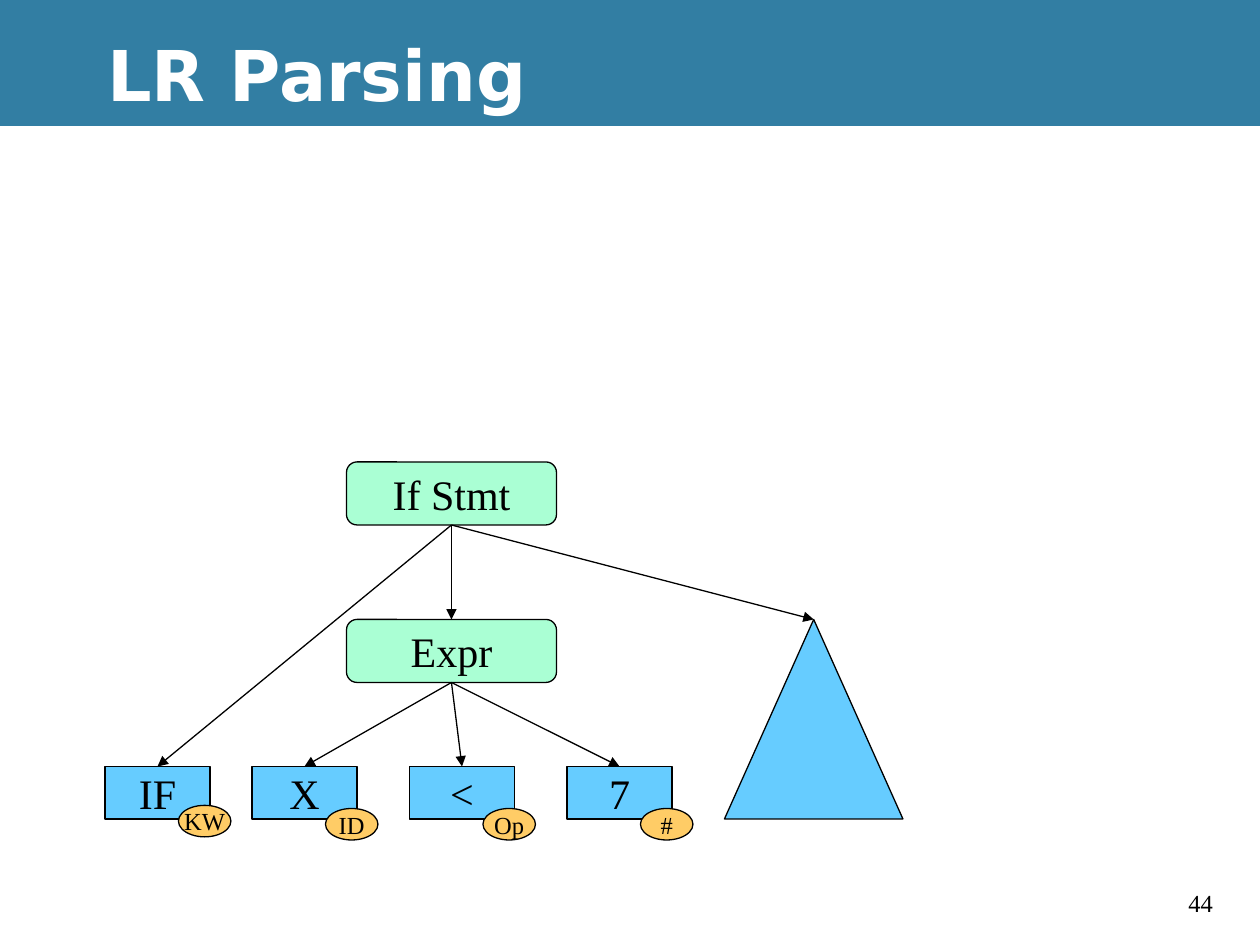
"""Build the LR parsing slide: a parse tree over tagged tokens."""
from dataclasses import dataclass
from typing import Any

from lxml import etree
from pptx import Presentation
from pptx import util as u
from pptx.dml import color
from pptx.enum import shapes, text
from pptx.oxml import ns

BLACK, WHITE, TEAL = "000000", "FFFFFF", "327EA3"
BLUE, GREEN, ORANGE = "66CCFF", "AAFFD4", "FFCC66"
SHAPE = shapes.MSO_SHAPE


def rgb(value):
    return color.RGBColor.from_string(value)


@dataclass
class Canvas:
    slide: Any
    cell: int = u.Inches(1) // 12
    font: str = "Times New Roman"

    def box(self, *cells):
        return [round(cell * self.cell) for cell in cells]

    def set_words(self, shape, words, size, ink=BLACK, font=None, bold=False, align=text.PP_ALIGN.LEFT):
        frame = shape.text_frame
        frame.text = words
        paragraph = frame.paragraphs[0]
        paragraph.alignment = align
        for run in paragraph.runs:
            run.font.name = font or self.font
            run.font.size = u.Pt(size)
            run.font.bold = bold
            run.font.color.rgb = rgb(ink)
        return frame

    def title(self, words, *cells):
        title = self.slide.shapes.title
        title.left, title.top, title.width, title.height = self.box(*cells)
        frame = self.set_words(title, words, 40, WHITE, "DejaVu Sans", True)
        frame.vertical_anchor = text.MSO_ANCHOR.MIDDLE
        frame.auto_size = text.MSO_AUTO_SIZE.NONE
        title._element.getparent().append(title._element)

    def label(self, words, size, *cells):
        label = self.slide.shapes.add_textbox(*self.box(*cells))
        self.set_words(label, words, size).word_wrap = True

    def shape(self, kind, fill, *cells, words="", size=24, line=BLACK, parent=None):
        shape = (parent or self.slide).shapes.add_shape(kind, *self.box(*cells))
        shape.shadow.inherit = False
        shape.fill.solid()
        shape.fill.fore_color.rgb = rgb(fill)
        if line:
            shape.line.color.rgb = rgb(line)
            shape.line.width = u.Pt(0.75)
        else:
            shape.line.fill.background()
        if words:
            frame = self.set_words(shape, words, size, align=text.PP_ALIGN.CENTER)
            frame.vertical_anchor = text.MSO_ANCHOR.MIDDLE
            frame.word_wrap = False
        return shape

    def node(self, words, row):
        return self.shape(SHAPE.ROUNDED_RECTANGLE, GREEN, 33, row, 20, 6, words=words)

    def token(self, words, tag, column, tag_row=77):
        group = self.slide.shapes.add_group_shape()
        token = self.shape(SHAPE.RECTANGLE, BLUE, column, 73, 10, 5, words=words, parent=group)
        self.shape(SHAPE.OVAL, ORANGE, column + 7, tag_row, 5, 3, words=tag, size=14, parent=group)
        return token

    def arrow(self, parent, child):
        arrow = self.slide.shapes.add_connector(shapes.MSO_CONNECTOR.STRAIGHT, 0, 0, 0, 0)
        arrow.begin_connect(parent, 2)
        arrow.end_connect(child, 0)
        arrow.line.color.rgb = rgb(BLACK)
        arrow.line.width = u.Pt(0.75)
        etree.SubElement(arrow.line._get_or_add_ln(), ns.qn("a:tailEnd"), type="triangle")
        etree.SubElement(arrow._element.spPr, ns.qn("a:effectLst"))


def main():
    presentation = Presentation()
    presentation.slide_width, presentation.slide_height = u.Inches(10), u.Inches(7.5)
    canvas = Canvas(presentation.slides.add_slide(presentation.slide_layouts[5]))
    background = canvas.slide.background.fill
    background.solid()
    background.fore_color.rgb = rgb(BLACK)

    canvas.shape(SHAPE.RECTANGLE, WHITE, 0, 12, 120, 78, line=None)
    canvas.shape(SHAPE.RECTANGLE, TEAL, 0, 0, 120, 12, line=None)
    canvas.label("44", 14, 112, 84, 6, 4)
    canvas.title("LR Parsing", 9, 1, 111, 12)

    keyword = canvas.token("IF", "KW", 10, tag_row=76.7)
    operands = [
        canvas.token(words, tag, column)
        for words, tag, column in (("X", "ID", 24), ("<", "Op", 39), ("7", "#", 54))
    ]
    expression = canvas.node("Expr", 59)
    subtree = canvas.shape(SHAPE.ISOSCELES_TRIANGLE, BLUE, 69, 59, 17, 19)
    statement = canvas.node("If Stmt", 44)

    for parent, children in ((expression, operands), (statement, (keyword, expression, subtree))):
        for child in children:
            canvas.arrow(parent, child)

    presentation.save("out.pptx")


if __name__ == "__main__":
    main()
